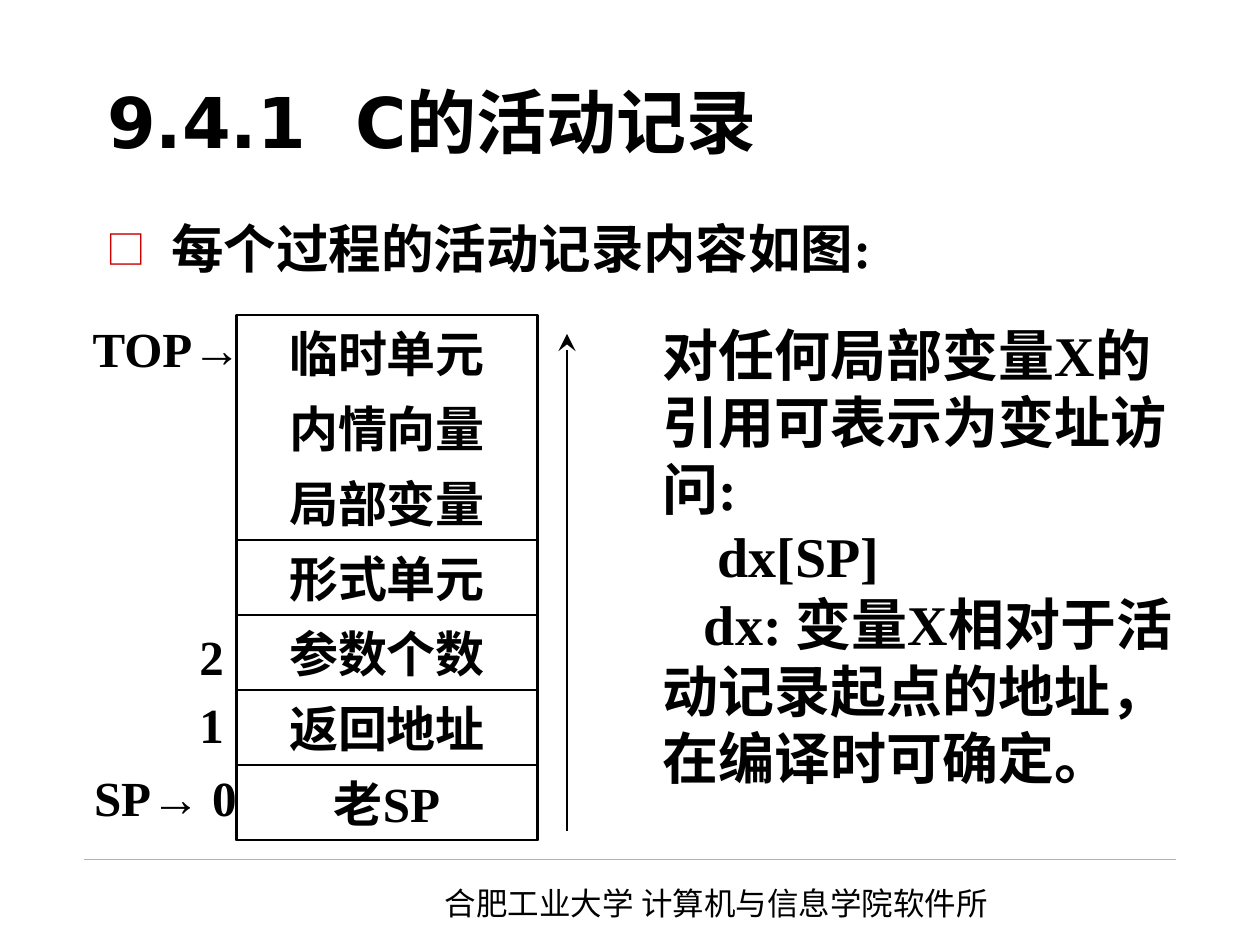
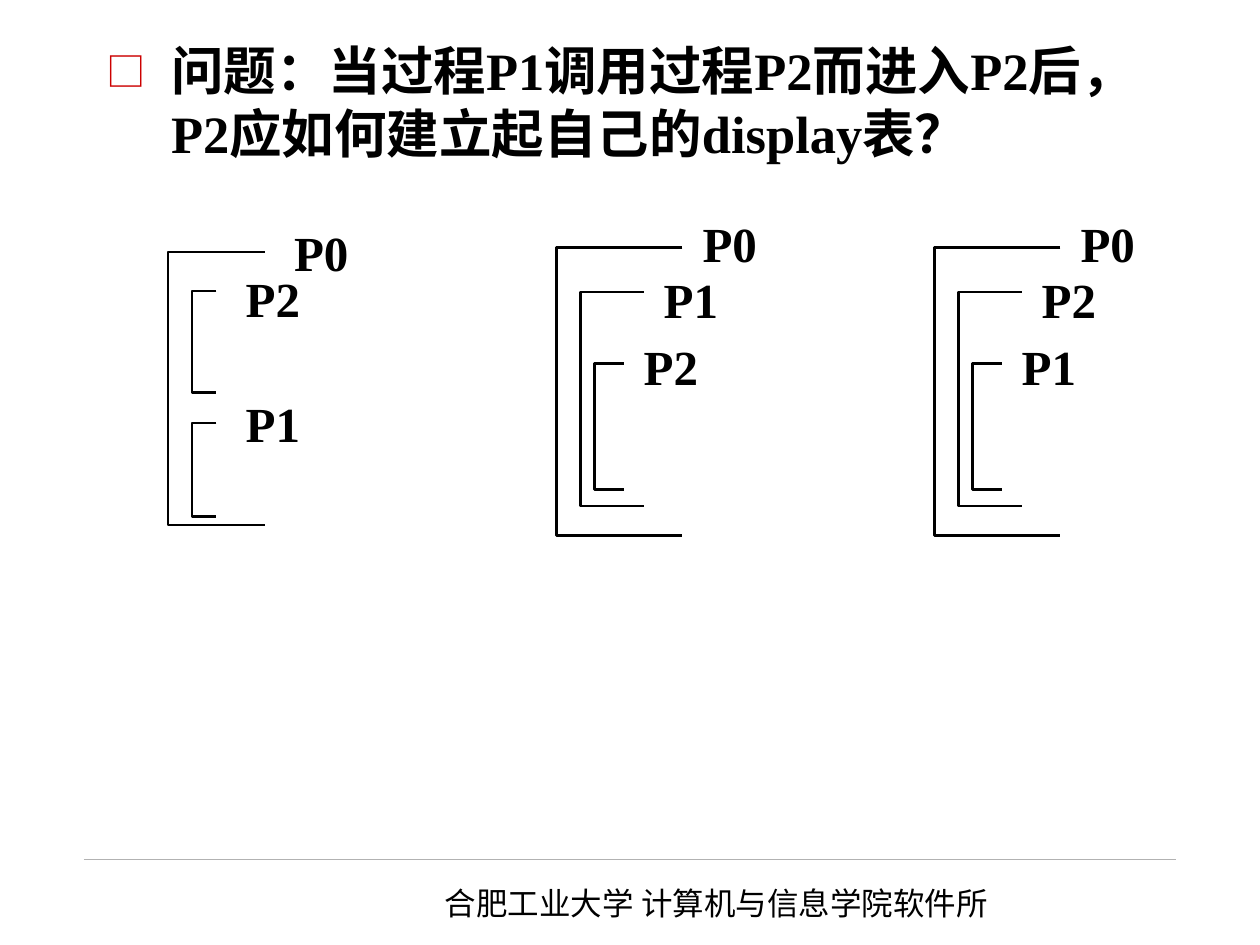
from dataclasses import dataclass

from lxml.etree import SubElement
from pptx import Presentation
from pptx.dml.color import RGBColor
from pptx.enum.shapes import MSO_CONNECTOR, MSO_SHAPE
from pptx.enum.text import MSO_ANCHOR, PP_ALIGN
from pptx.oxml.ns import qn
from pptx.util import Emu, Inches, Pt

SLIDE_WIDTH, SLIDE_HEIGHT = Inches(10), Inches(7.5)
COLUMNS = 120  # square grid: 120 columns by 90 rows
INK, ACCENT, RULE = "000000", "CC0000", "B2B2B2"
SERIF, SANS, HEADING, CHINESE = "Times New Roman", "Arial", "DejaVu Sans", "Noto Sans CJK SC"
EAST_ASIAN_FONTS = {SERIF: SANS}  # Chinese stays sans serif beside serif Latin
FOOTER = "合肥工业大学 计算机与信息学院软件所"
LABEL_SIZE, BODY_SIZE = 28, 30


def grid(cells: float) -> Emu:
    return Emu(round(SLIDE_WIDTH * cells / COLUMNS))


def color(code: str) -> RGBColor:
    return RGBColor.from_string(code)


@dataclass(frozen=True)
class Area:
    left: float
    top: float
    width: float
    height: float

    @property
    def right(self) -> float:
        return self.left + self.width

    @property
    def bottom(self) -> float:
        return self.top + self.height

    def lengths(self) -> tuple:
        return tuple(grid(n) for n in (self.left, self.top, self.width, self.height))


@dataclass(frozen=True)
class Bracket:
    """A procedure's extent; label_drop moves its label below the upper arm."""
    area: Area
    label_drop: float


@dataclass(frozen=True)
class Nesting:
    left: float
    names: tuple
    brackets: tuple
    label_gap: float


@dataclass(frozen=True)
class Cell:
    text: str
    framed: bool


@dataclass(frozen=True)
class Marker:
    area: Area
    pieces: tuple
    align: PP_ALIGN


STACK = Area(22.5, 30, 28.7, 50)
CELLS = (
    Cell("临时单元", False), Cell("内情向量", False), Cell("局部变量", False),
    Cell("形式单元", True), Cell("参数个数", True), Cell("返回地址", True), Cell("老SP", True),
)
MARKERS = (
    Marker(Area(7.55, 30, 18, 6.2), (("TOP", SERIF), ("→ ", SANS)), PP_ALIGN.CENTER),
    Marker(Area(15, 59.4, 7.5, 6.2), (("2", SERIF),), PP_ALIGN.RIGHT),
    Marker(Area(15, 65.8, 7.5, 6.2), (("1", SERIF),), PP_ALIGN.RIGHT),
    Marker(Area(6.75, 72.8, 18, 6.2), (("SP", SERIF), ("→", SANS), (" 0", SERIF)),
           PP_ALIGN.CENTER),
)
SIBLINGS = (
    Bracket(Area(0, 24, 9.2, 26), 0),
    Bracket(Area(2.3, 27.7, 2.3, 9.7), 0.7),
    Bracket(Area(2.3, 40.3, 2.3, 8.9), 0),
)
CHAIN = (
    Bracket(Area(0, 23.6, 12, 27.4), -0.5),
    Bracket(Area(2.3, 27.8, 6, 20.4), 0.7),
    Bracket(Area(3.6, 34.6, 2.8, 12), 0.3),
)
NESTINGS = (
    Nesting(16, ("P0", "P2", "P1"), SIBLINGS, 5.4),
    Nesting(53, ("P0", "P1", "P2"), CHAIN, 4.5),
    Nesting(89, ("P0", "P2", "P1"), CHAIN, 4.5),
)


def add_span(para, text: str, *, size: float, font: str = SERIF, bold: bool = True) -> None:
    span = para.add_run()
    span.text = text
    span.font.size, span.font.bold, span.font.name = Pt(size), bold, font
    span.font.color.rgb = color(INK)
    east_asian = SubElement(span.font._element, qn("a:ea"))
    east_asian.set("typeface", EAST_ASIAN_FONTS.get(font, font))


def write(box, *paragraphs, size: float, font: str = SERIF, bold: bool = True,
          align=PP_ALIGN.LEFT, anchor=MSO_ANCHOR.TOP, wrap: bool = True) -> None:
    """Fill a box; a paragraph is a string or a tuple of (text, font) pieces."""
    frame = box.text_frame
    frame.word_wrap, frame.vertical_anchor = wrap, anchor
    frame.margin_left = frame.margin_right = Inches(0.1)
    frame.margin_top = frame.margin_bottom = Inches(0.05)
    for index, content in enumerate(paragraphs):
        para = frame.add_paragraph() if index else frame.paragraphs[0]
        para.alignment = align
        para._p.get_or_add_pPr().set("hangingPunct", "0")
        pieces = ((content, font),) if isinstance(content, str) else content
        for text, face in pieces:
            add_span(para, text, size=size, font=face, bold=bold)


def add_text(page, area: Area, *paragraphs, **style):
    box = page.shapes.add_textbox(*area.lengths())
    write(box, *paragraphs, **style)
    return box


def add_label(page, area: Area, content, align=PP_ALIGN.CENTER) -> None:
    add_text(page, area, content, size=LABEL_SIZE, align=align,
             anchor=MSO_ANCHOR.MIDDLE, wrap=False)


def outline(shape) -> None:
    shape.shadow.inherit = False
    shape.fill.background()
    shape.line.color.rgb = color(INK)
    shape.line.width = Pt(1.5)


def add_frame(page, area: Area) -> None:
    outline(page.shapes.add_shape(MSO_SHAPE.RECTANGLE, *area.lengths()))


def add_line(page, start: tuple, end: tuple, *, width: float, code: str = INK,
             arrow: bool = False) -> None:
    line = page.shapes.add_connector(MSO_CONNECTOR.STRAIGHT, *map(grid, start + end))
    line.line.color.rgb = color(code)
    line.line.width = Pt(width)
    if arrow:
        head = SubElement(line.line._get_or_add_ln(), qn("a:tailEnd"))
        for key, value in (("type", "stealth"), ("w", "lg"), ("len", "lg")):
            head.set(key, value)
    SubElement(line._element.spPr, qn("a:effectLst"))


def add_bullet_text(page, area: Area, text: str) -> None:
    box = add_text(page, area, text, size=BODY_SIZE)
    properties = box.text_frame.paragraphs[0]._p.get_or_add_pPr()
    properties.set("marL", str(Inches(0.51)))
    properties.set("indent", str(-Inches(0.51)))
    SubElement(SubElement(properties, qn("a:buClr")), qn("a:srgbClr")).set("val", ACCENT)
    SubElement(properties, qn("a:buSzPct")).set("val", "75000")
    SubElement(properties, qn("a:buFont")).set("typeface", CHINESE)
    SubElement(properties, qn("a:buChar")).set("char", "□")


def add_page(deck, layout_name: str):
    page = deck.slides.add_slide(deck.slide_layouts.get_by_name(layout_name))
    add_line(page, (8, 81.85), (112, 81.85), width=0.25, code=RULE)
    add_text(page, Area(41.2, 83.6, 58.6, 4.8), FOOTER, size=18, font=CHINESE, bold=False)
    return page


def set_title(page, text: str) -> None:
    title = page.shapes.title
    title.left, title.top, title.width, title.height = Area(9, 4, 102, 15).lengths()
    write(title, text, size=40, font=HEADING, anchor=MSO_ANCHOR.MIDDLE)
    properties = title.text_frame.paragraphs[0]._p.get_or_add_pPr()
    stop = SubElement(SubElement(properties, qn("a:tabLst")), qn("a:tab"))
    stop.set("pos", str(Inches(1.97)))
    stop.set("algn", "l")


def add_stack(page) -> None:
    add_frame(page, STACK)
    row_height = STACK.height / len(CELLS)
    for row, cell in enumerate(CELLS):
        area = Area(STACK.left, STACK.top + row * row_height, STACK.width, row_height)
        if cell.framed:
            add_frame(page, area)
        add_label(page, area, cell.text)
    for marker in MARKERS:
        add_label(page, marker.area, marker.pieces, marker.align)
    add_line(page, (54, 79.1), (54, 31.8), width=1.5, arrow=True)


def add_explanation(page) -> None:
    box = add_text(page, Area(61.9, 29.9, 54, 51),
                   "对任何局部变量X的引用可表示为变址访问:", "dx[SP]",
                   "dx: 变量X相对于活动记录起点的地址，在编译时可确定。", size=32)
    for para, indent in zip(box.text_frame.paragraphs, (0, 0.44, 0.33)):
        para._p.get_or_add_pPr().set("indent", str(Inches(indent)))


def add_nesting(page, nesting: Nesting) -> None:
    for name, bracket in zip(nesting.names, nesting.brackets):
        area = bracket.area
        left, right = nesting.left + area.left, nesting.left + area.right
        corners = [(right, area.top), (left, area.top), (left, area.bottom), (right, area.bottom)]
        points = [(grid(x), grid(y)) for x, y in corners]
        builder = page.shapes.build_freeform(*points[0])
        builder.add_line_segments(points[1:], close=False)
        outline(builder.convert_to_shape())
        label_width, label_height = 10.8, 6
        add_label(page, Area(right + nesting.label_gap - label_width / 2,
                             area.top + bracket.label_drop - label_height / 2,
                             label_width, label_height), name)


def main() -> None:
    deck = Presentation()
    deck.slide_width, deck.slide_height = SLIDE_WIDTH, SLIDE_HEIGHT

    record_page = add_page(deck, "Title Only")
    set_title(record_page, "9.4.1\tC的活动记录")
    add_bullet_text(record_page, Area(9, 20, 99, 10), "每个过程的活动记录内容如图:")
    add_stack(record_page)
    add_explanation(record_page)

    display_page = add_page(deck, "Blank")
    add_bullet_text(display_page, Area(9, 3, 104, 15),
                    "问题：当过程P1调用过程P2而进入P2后，P2应如何建立起自己的display表？")
    for nesting in NESTINGS:
        add_nesting(display_page, nesting)

    deck.save("out.pptx")


if __name__ == "__main__":
    main()
